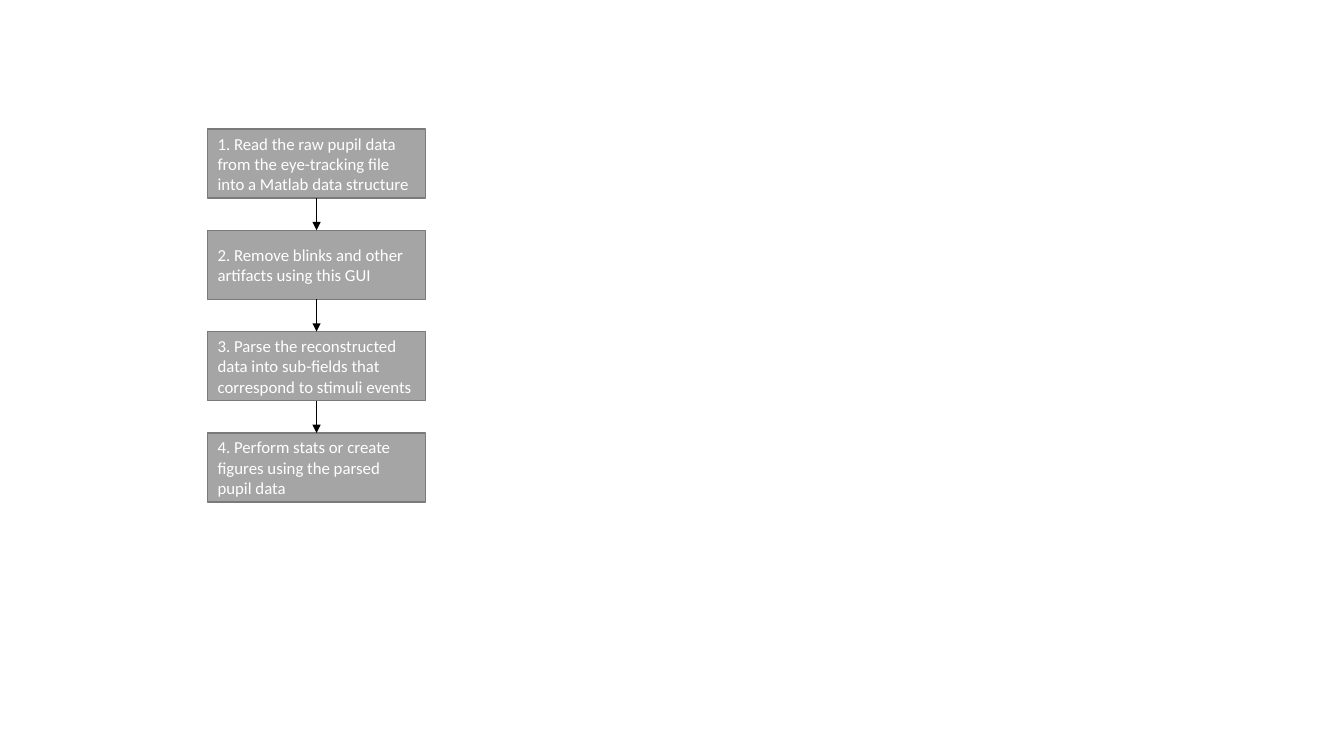
from dataclasses import dataclass

from lxml import etree
from pptx import Presentation
from pptx.dml.color import RGBColor
from pptx.enum import shapes, text
from pptx.oxml.ns import qn
from pptx.util import Inches, Pt


@dataclass(frozen=True)
class Theme:
    """Colours, font and sizes of the slide."""
    fill: RGBColor = RGBColor.from_string("A5A5A5")
    border: RGBColor = RGBColor.from_string("7A7A7A")
    label: RGBColor = RGBColor.from_string("FFFFFF")
    arrow: RGBColor = RGBColor.from_string("000000")
    font: str = "Calibri"
    size: Pt = Pt(12)
    border_width: Pt = Pt(1)
    arrow_width: Pt = Pt(0.5)


THEME = Theme()
STEPS = (
    "1. Read the raw pupil data from the eye-tracking file into a Matlab data structure",
    "2. Remove blinks and other artifacts using this GUI",
    "3. Parse the reconstructed data into sub-fields that correspond to stimuli events",
    "4. Perform stats or create figures using the parsed pupil data",
)


def add_step(s, label, left, top, width, height):
    """Draw one step box and return it."""
    sp = s.shapes.add_shape(shapes.MSO_SHAPE.RECTANGLE, left, top, width, height)
    sp.shadow.inherit = False
    sp.fill.solid()
    sp.fill.fore_color.rgb = THEME.fill
    sp.line.color.rgb = THEME.border
    sp.line.width = THEME.border_width
    tf = sp.text_frame
    tf.word_wrap = True
    tf.vertical_anchor = text.MSO_ANCHOR.MIDDLE
    p = tf.paragraphs[0]
    p.text = label
    p.alignment = text.PP_ALIGN.LEFT
    p.font.name = THEME.font
    p.font.size = THEME.size
    p.font.color.rgb = THEME.label
    return sp


def add_arrow(s, upper, lower):
    """Join the bottom of one box to the top of the next with an arrow."""
    cxn = s.shapes.add_connector(shapes.MSO_CONNECTOR.STRAIGHT, 0, 0, 0, 0)
    cxn.begin_connect(upper, 2)
    cxn.end_connect(lower, 0)
    cxn.line.color.rgb = THEME.arrow
    cxn.line.width = THEME.arrow_width
    etree.SubElement(cxn.line._get_or_add_ln(), qn("a:tailEnd"), type="triangle")
    etree.SubElement(cxn._element.spPr, qn("a:effectLst"))


def add_flow(s, steps, left, top, width, height, gap):
    """Stack the steps evenly in the given box, linked by arrows."""
    step_height = (height - gap * (len(steps) - 1)) // len(steps)
    boxes = [
        add_step(s, label, left, top + i * (step_height + gap), width, step_height)
        for i, label in enumerate(steps)
    ]
    for upper, lower in zip(boxes, boxes[1:]):
        add_arrow(s, upper, lower)


def main():
    """Build the slide and save it."""
    prs = Presentation()
    prs.slide_width, prs.slide_height = Inches(13.33), Inches(7.5)
    s = prs.slides.add_slide(prs.slide_layouts[6])
    add_flow(s, STEPS, Inches(2.06), Inches(1.28), Inches(2.16), Inches(3.7), Inches(0.32))
    prs.save("out.pptx")


if __name__ == "__main__":
    main()
